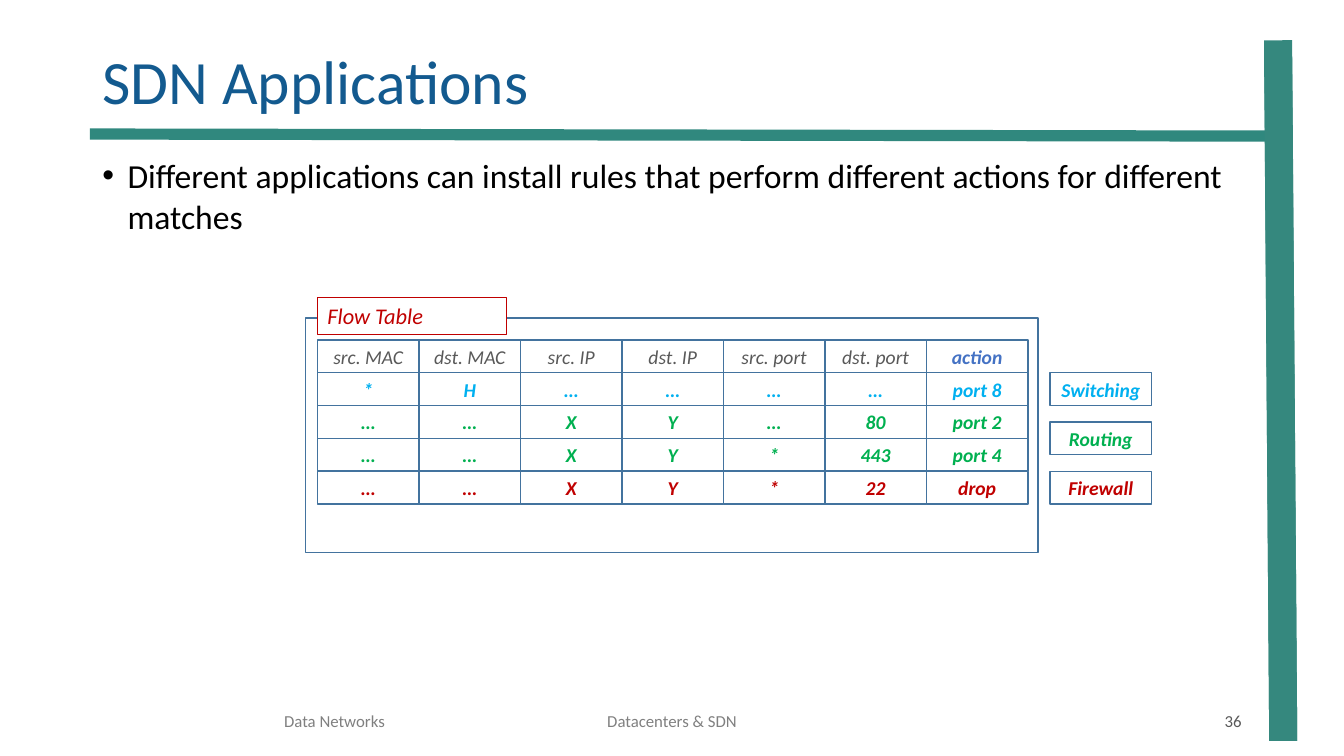
"""Build the SDN applications slide with its flow table."""
from dataclasses import dataclass, replace

from lxml.etree import SubElement
from pptx import Presentation
from pptx.dml.color import RGBColor
from pptx.enum.shapes import MSO_CONNECTOR, MSO_SHAPE
from pptx.enum.text import MSO_ANCHOR, PP_ALIGN
from pptx.oxml.ns import qn
from pptx.util import Inches, Pt

WIDTH, HEIGHT = Inches(13.333), Inches(7.5)
FONT = "Calibri"
WHITE = RGBColor(0xFF, 0xFF, 0xFF)
BLACK = RGBColor(0, 0, 0)
TITLE_BLUE = RGBColor(0x13, 0x5A, 0x8F)
BAR_TEAL = RGBColor(0x35, 0x88, 0x7E)
RULE_TEAL = RGBColor(0x30, 0x88, 0x7E)
BORDER_BLUE = RGBColor(0x43, 0x73, 0x9E)
ACTION_BLUE = RGBColor(0x44, 0x72, 0xC4)
FOOTER_GRAY = RGBColor(0x80, 0x80, 0x80)
DARK_GRAY = RGBColor(0x59, 0x59, 0x59)
SWITCHING_BLUE = RGBColor(0x00, 0xB0, 0xF0)
ROUTING_GREEN = RGBColor(0x00, 0xB0, 0x50)
FIREWALL_RED = RGBColor(0xC0, 0x00, 0x00)


@dataclass(frozen=True)
class Area:
    """A rectangle in percent of the slide's width and height."""
    left: float
    top: float
    width: float
    height: float

    def lengths(self) -> tuple[int, int, int, int]:
        return (across(self.left), down(self.top),
                across(self.width), down(self.height))


@dataclass(frozen=True)
class Style:
    size: float
    color: RGBColor
    align: PP_ALIGN = PP_ALIGN.LEFT
    anchor: MSO_ANCHOR = MSO_ANCHOR.MIDDLE
    bold: bool = False
    italic: bool = False


@dataclass(frozen=True)
class Caption:
    text: str
    area: Area
    style: Style


@dataclass(frozen=True)
class Bar:
    start: tuple[float, float]
    end: tuple[float, float]
    color: RGBColor
    weight: float


@dataclass(frozen=True)
class FlowRule:
    values: tuple[str, ...]
    color: RGBColor


@dataclass(frozen=True)
class Application:
    name: str
    row: float
    color: RGBColor


COLUMN, ROW = 7.55, 4.34
TABLE_LEFT, TABLE_TOP = 23.63, 44.97
APPLICATION_LEFT = 78.13

BARS = (
    Bar((95.1, 5.33), (95.48, 98), BAR_TEAL, 20),
    Bar((94.5, 18), (6.68, 17.73), RULE_TEAL, 8),
    Bar((95.1, 7.73), (95.48, 98), BAR_TEAL, 20),
)
FOOTER = Style(12, FOOTER_GRAY, PP_ALIGN.RIGHT)
TITLE = Caption("SDN Applications", Area(6.88, 5.33, 86.25, 11.6), Style(44, TITLE_BLUE))
FOOTERS = (
    Caption("Data Networks", Area(6.88, 92.67, 22.5, 5.33), FOOTER),
    Caption("Datacenters & SDN", Area(33.13, 92.67, 33.75, 5.33),
            replace(FOOTER, align=PP_ALIGN.CENTER)),
    Caption("36", Area(70.63, 92.67, 22.5, 5.33), replace(FOOTER, color=DARK_GRAY)),
)
STATEMENT = Caption(
    "Different applications can install rules that perform different actions for different matches",
    Area(6.88, 19.87, 86.25, 24.13), Style(24, BLACK, anchor=MSO_ANCHOR.TOP))
FRAME = Area(22.73, 42.05, 54.5, 31.07)
FLOW_TABLE = Caption("Flow Table", Area(TABLE_LEFT, 39.33, 14.07, 4.93),
                     Style(16, FIREWALL_RED, anchor=MSO_ANCHOR.TOP, italic=True))
HEADINGS = ("src. MAC", "dst. MAC", "src. IP", "dst. IP", "src. port", "dst. port", "action")
RULES = (
    FlowRule(("*", "H", "…", "…", "…", "…", "port 8"), SWITCHING_BLUE),
    FlowRule(("…", "…", "X", "Y", "…", "80", "port 2"), ROUTING_GREEN),
    FlowRule(("…", "…", "X", "Y", "*", "443", "port 4"), ROUTING_GREEN),
    FlowRule(("…", "…", "X", "Y", "*", "22", "drop"), FIREWALL_RED),
)
APPLICATIONS = (
    Application("Switching", 1, SWITCHING_BLUE),
    Application("Routing", 2.5, ROUTING_GREEN),
    Application("Firewall", 4, FIREWALL_RED),
)
HEADING = Style(14, DARK_GRAY, PP_ALIGN.CENTER, italic=True)
ENTRY = replace(HEADING, bold=True)


def across(percent: float) -> int:
    return round(WIDTH * percent / 100)


def down(percent: float) -> int:
    return round(HEIGHT * percent / 100)


def write(frame, text: str, style: Style):
    frame.word_wrap = True
    frame.vertical_anchor = style.anchor
    frame.text = text
    paragraph = frame.paragraphs[0]
    paragraph.alignment = style.align
    font = paragraph.runs[0].font
    font.name, font.size = FONT, Pt(style.size)
    font.bold, font.italic = style.bold, style.italic
    font.color.rgb = style.color
    return paragraph


def add_caption(slide, caption: Caption):
    frame = slide.shapes.add_textbox(*caption.area.lengths()).text_frame
    return write(frame, caption.text, caption.style)


def add_bar(slide, bar: Bar) -> None:
    line = slide.shapes.add_connector(
        MSO_CONNECTOR.STRAIGHT, across(bar.start[0]), down(bar.start[1]),
        across(bar.end[0]), down(bar.end[1]))
    line.line.color.rgb = bar.color
    line.line.width = Pt(bar.weight)
    SubElement(line._element.spPr, qn("a:effectLst"))


def add_box(slide, area: Area, border: RGBColor, weight: float):
    box = slide.shapes.add_shape(MSO_SHAPE.RECTANGLE, *area.lengths())
    box.shadow.inherit = False
    box.fill.solid()
    box.fill.fore_color.rgb = WHITE
    box.line.color.rgb = border
    box.line.width = Pt(weight)
    return box


def add_label(slide, label: Caption, border: RGBColor, weight: float) -> None:
    frame = add_box(slide, label.area, border, weight).text_frame
    if label.style.align == PP_ALIGN.CENTER:
        frame.margin_left = frame.margin_right = 0
    write(frame, label.text, label.style)


def add_entry(slide, text: str, left: float, row: float, style: Style) -> None:
    area = Area(left, TABLE_TOP + ROW * row, COLUMN, ROW)
    add_label(slide, Caption(text, area, style), BORDER_BLUE, 1)


def add_flow_table(slide) -> None:
    lefts = [TABLE_LEFT + COLUMN * column for column in range(len(HEADINGS))]
    for left, heading in zip(lefts, HEADINGS):
        style = replace(ENTRY, color=ACTION_BLUE) if heading == "action" else HEADING
        add_entry(slide, heading, left, 0, style)
    for row, rule in enumerate(RULES, start=1):
        for left, value in zip(lefts, rule.values):
            add_entry(slide, value, left, row, replace(ENTRY, color=rule.color))


def main() -> None:
    deck = Presentation()
    deck.slide_width, deck.slide_height = WIDTH, HEIGHT
    slide = deck.slides.add_slide(deck.slide_layouts[6])
    for bar in BARS:
        add_bar(slide, bar)
    add_caption(slide, TITLE).line_spacing = 0.9
    for footer in FOOTERS:
        add_caption(slide, footer)
    properties = add_caption(slide, STATEMENT)._p.get_or_add_pPr()
    properties.set("marL", str(Inches(0.25)))
    properties.set("indent", str(-Inches(0.25)))
    SubElement(properties, qn("a:buFont"), typeface="Arial")
    SubElement(properties, qn("a:buChar"), char="•")
    add_box(slide, FRAME, BORDER_BLUE, 1)
    add_label(slide, FLOW_TABLE, FIREWALL_RED, 0.75)
    add_flow_table(slide)
    for application in APPLICATIONS:
        add_entry(slide, application.name, APPLICATION_LEFT, application.row,
                  replace(ENTRY, color=application.color))
    deck.save("out.pptx")


if __name__ == "__main__":
    main()
